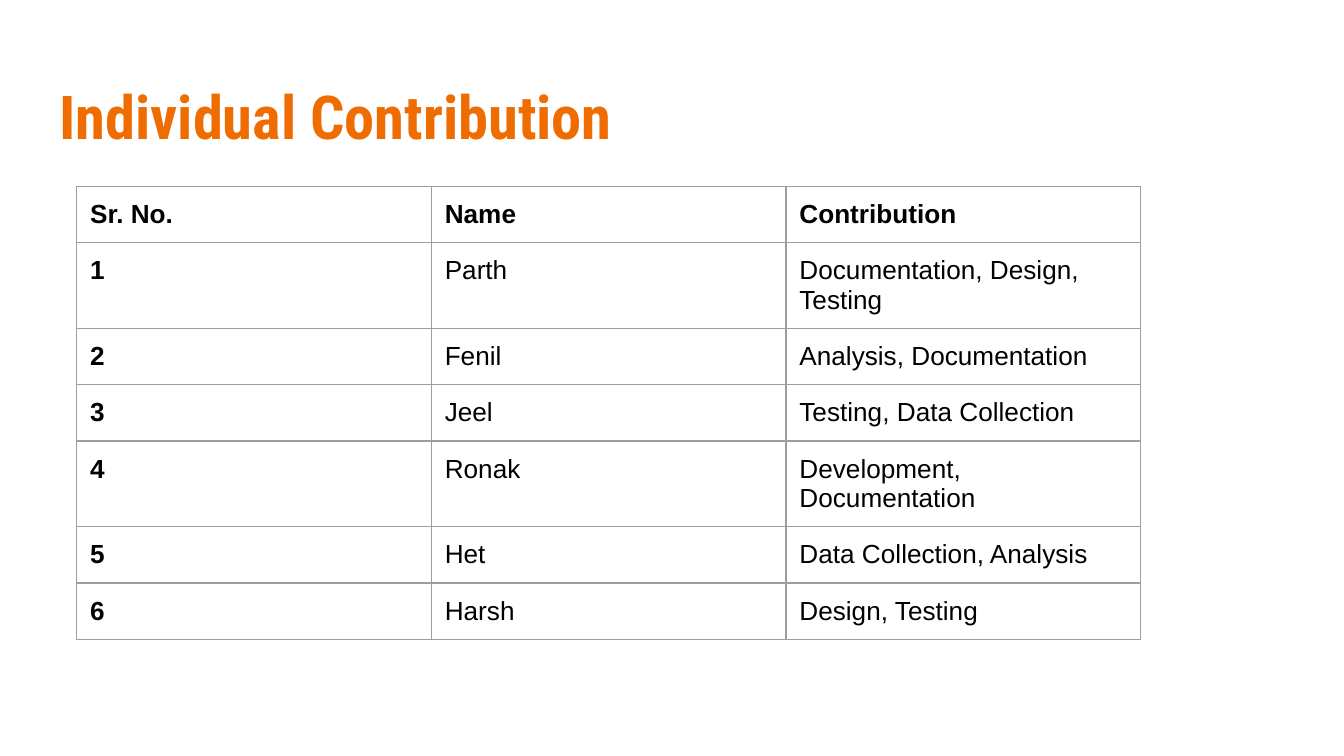
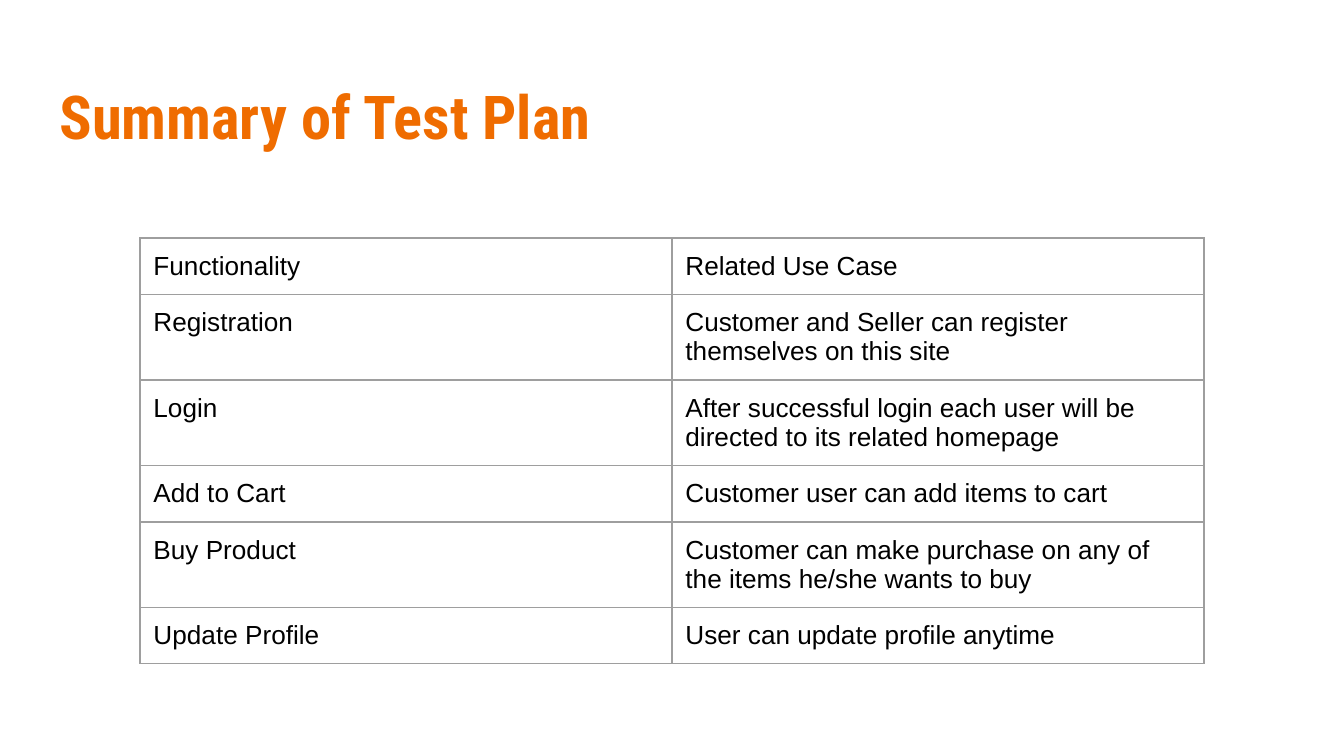
from lxml.etree import SubElement
from pptx import Presentation
from pptx.dml.color import RGBColor
from pptx.enum.text import MSO_ANCHOR, MSO_AUTO_SIZE, PP_ALIGN
from pptx.oxml.ns import qn
from pptx.util import Pt

PX = 3810  # EMU in one px, 240 px to the inch
ORANGE = RGBColor(0xEF, 0x6C, 0x00)
BLACK = RGBColor(0x00, 0x00, 0x00)
WHITE = RGBColor(0xFF, 0xFF, 0xFF)
GREY = RGBColor(0x9E, 0x9E, 0x9E)
TITLE_FONT, BODY_FONT = "Roboto Condensed", "Arial"
INSET, ROW_H = 24, 100

CONTRIBUTIONS = [
    ("Sr. No.", "Name", "Contribution"),
    ("1", "Parth", "Documentation, Design, Testing"),
    ("2", "Fenil", "Analysis, Documentation"),
    ("3", "Jeel", "Testing, Data Collection"),
    ("4", "Ronak", "Development, Documentation"),
    ("5", "Het", "Data Collection, Analysis"),
    ("6", "Harsh", "Design, Testing"),
]
TEST_PLAN = [
    ("Functionality", "Related Use Case"),
    ("Registration", "Customer and Seller can register themselves on this site"),
    ("Login", "After successful login each user will be directed to its related homepage"),
    ("Add to Cart", "Customer user can add items to cart"),
    ("Buy Product", "Customer can make purchase on any of the items he/she wants to buy"),
    ("Update Profile", "User can update profile anytime"),
]


def write(tf, text, size=14, font=BODY_FONT, color=BLACK, bold=False):
    p = tf.paragraphs[0]
    p.alignment = PP_ALIGN.LEFT
    r = p.add_run()
    r.text = text
    r.font.size, r.font.name, r.font.bold = Pt(size), font, bold
    r.font.color.rgb = color


def set_insets(box):
    box.margin_left = box.margin_right = INSET * PX
    box.margin_top = box.margin_bottom = INSET * PX


def set_borders(cell):
    tc_pr = cell._tc.get_or_add_tcPr()
    for i, side in enumerate(("lnL", "lnR", "lnT", "lnB")):
        ln = tc_pr.makeelement(qn(f"a:{side}"), {"w": str(Pt(0.75))})
        fill = SubElement(ln, qn("a:solidFill"))
        SubElement(fill, qn("a:srgbClr"), val=str(GREY))
        tc_pr.insert(i, ln)  # borders come before the fill


class Deck:
    def __init__(self):
        self.prs = Presentation()
        self.prs.slide_width, self.prs.slide_height = 2400 * PX, 1350 * PX
        self.slide = None

    def add_slide(self, title):
        self.slide = self.prs.slides.add_slide(self.prs.slide_layouts[5])
        bg = self.slide.background.fill
        bg.solid()
        bg.fore_color.rgb = WHITE
        sp = self.slide.shapes.title
        sp.left, sp.top, sp.width, sp.height = (v * PX for v in (82, 117, 2236, 185))
        tf = sp.text_frame
        tf.word_wrap, tf.auto_size = True, MSO_AUTO_SIZE.NONE
        tf.vertical_anchor = MSO_ANCHOR.TOP
        set_insets(tf)
        write(tf, title, size=32.4, font=TITLE_FONT, color=ORANGE, bold=True)

    def add_table(self, rows, left, top, width=1900, bold_heads=False):
        """Draw rows in equal columns; bold_heads marks the first row and column."""
        n_cols = len(rows[0])
        table = self.slide.shapes.add_table(
            len(rows), n_cols, left * PX, top * PX,
            width * PX, len(rows) * ROW_H * PX).table
        table.first_row = table.horz_banding = False
        for i, row in enumerate(rows):
            for j, text in enumerate(row):
                cell = table.cell(i, j)
                cell.fill.background()
                cell.vertical_anchor = MSO_ANCHOR.TOP
                set_insets(cell)
                set_borders(cell)
                write(cell.text_frame, text, bold=bold_heads and 0 in (i, j))


def main():
    deck = Deck()
    deck.add_slide("Individual Contribution")
    deck.add_table(CONTRIBUTIONS, 137, 333, bold_heads=True)
    deck.add_slide("Summary of Test Plan")
    deck.add_table(TEST_PLAN, 250, 425)
    deck.prs.save("out.pptx")


if __name__ == "__main__":
    main()
